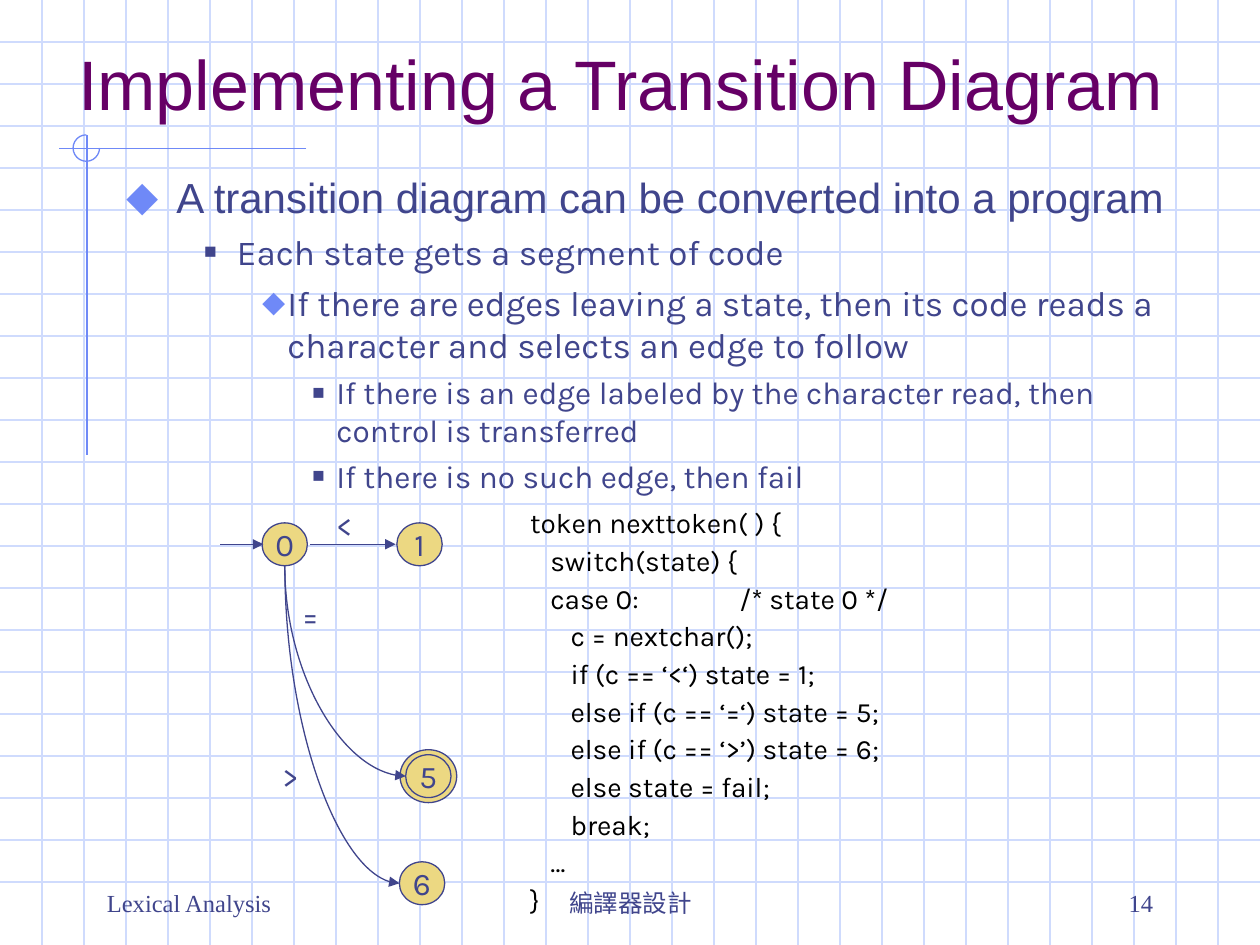
from dataclasses import dataclass

from lxml import etree
from pptx import Presentation
from pptx import util as u
from pptx.dml.color import RGBColor
from pptx.enum import shapes, text
from pptx.oxml import ns


@dataclass(frozen=True)
class Theme:
    title: str = "660066"
    ink: str = "40458C"
    accent: str = "6F89F7"
    grid: str = "CFDBFD"
    state: str = "ECD882"
    code: str = "000000"
    heading_font: str = "Arial"
    body_font: str = "Karla"
    footer_font: str = "Times New Roman"
    title_size: int = 40
    label_size: int = 18
    code_size: int = 16
    footer_size: int = 14
    rule: float = 0.75


THEME = Theme()
# Per level: text size, font, text indent, hanging, space before, bullet, its colour and size
OUTLINE_LEVELS = [
    (24, THEME.heading_font, 0.4, 0.4, 6, "⬥", THEME.accent, 110),
    (20, THEME.body_font, 0.88, 0.26, 5, "■", THEME.ink, 60),
    (20, THEME.body_font, 1.28, 0.2, 5, "⬥", THEME.accent, 95),
    (18, THEME.body_font, 1.67, 0.19, 4.5, "■", THEME.ink, 65),
]
OUTLINE = [
    (0, "A transition diagram can be converted into a program"),
    (1, "Each state gets a segment of code"),
    (2, "If there are edges leaving a state, then its code reads a character "
        "and selects an edge to follow"),
    (3, "If there is an edge labeled by the character read, then control is transferred"),
    (3, "If there is no such edge, then fail"),
]
CODE = [
    (0, "token nexttoken( ) {"),
    (1, "switch(state) {"),
    (1, "case 0:\t\t/* state 0 */"),
    (2, "c = nextchar();"),
    (2, "if (c == ‘<‘) state = 1;"),
    (2, "else if (c == ‘=‘) state = 5;"),
    (2, "else if (c == ‘>’) state = 6;"),
    (2, "else state = fail;"),
    (2, "break;"),
    (1, "…"),
    (0, "}"),
]


def rgb(color):
    return RGBColor.from_string(color)


def add_run(paragraph, words, size, font, color):
    run = paragraph.add_run()
    run.text = words
    run.font.size, run.font.name = u.Pt(size), font
    run.font.color.rgb = rgb(color)


def set_indent(paragraph, left, hanging=0):
    props = paragraph._p.get_or_add_pPr()
    props.set("marL", str(u.Inches(left)))
    props.set("indent", str(-u.Inches(hanging)))
    return props


def place(shape, box):
    shape.left, shape.top, shape.width, shape.height = map(u.Inches, box)


def add_text(parent, box, words, size, font, color, align=text.PP_ALIGN.LEFT,
             anchor=text.MSO_ANCHOR.MIDDLE, wrap=True):
    frame = parent.add_textbox(*map(u.Inches, box)).text_frame
    frame.word_wrap, frame.vertical_anchor = wrap, anchor
    frame.paragraphs[0].alignment = align
    add_run(frame.paragraphs[0], words, size, font, color)
    return frame


def add_line(parent, start, end, color, arrow=False, kind=shapes.MSO_CONNECTOR.STRAIGHT):
    line = parent.add_connector(kind, *map(u.Inches, (*start, *end)))
    line.line.color.rgb, line.line.width = rgb(color), u.Pt(THEME.rule)
    if arrow:
        etree.SubElement(line.line._get_or_add_ln(), ns.qn("a:tailEnd"), type="triangle")
    etree.SubElement(line._element.spPr, ns.qn("a:effectLst"))
    return line


def add_curve(parent, start, end):
    """Quarter curve that leaves downwards and arrives from the left."""
    (x1, y1), (x2, y2) = start, end
    across, down = x2 - x1, y2 - y1
    curve = add_line(parent, start, end, THEME.ink, True, shapes.MSO_CONNECTOR.CURVE)
    # The preset leaves sideways, so it is laid flat, mirrored and turned
    place(curve, ((x1 + x2 - down) / 2, (y1 + y2 - across) / 2, down, across))
    curve._element.spPr.find(ns.qn("a:prstGeom")).set("prst", "curvedConnector2")
    frame = curve._element.spPr.find(ns.qn("a:xfrm"))
    frame.set("rot", str(270 * 60000))
    frame.set("flipH", "1")


def add_state(parent, center, name="", width=0.36, height=0.34):
    x, y = center
    box = (x - width / 2, y - height / 2, width, height)
    state = parent.add_shape(shapes.MSO_SHAPE.OVAL, *map(u.Inches, box))
    state.shadow.inherit = False
    state.fill.solid()
    state.fill.fore_color.rgb = rgb(THEME.state)
    state.line.color.rgb, state.line.width = rgb(THEME.ink), u.Pt(THEME.rule)
    if name:
        frame = state.text_frame
        frame.word_wrap, frame.vertical_anchor = False, text.MSO_ANCHOR.MIDDLE
        frame.paragraphs[0].alignment = text.PP_ALIGN.CENTER
        add_run(frame.paragraphs[0], name, THEME.label_size, THEME.body_font, THEME.ink)


def draw_background(slide, box):
    left, top, width, height = box
    right, bottom, step = left + width, top + height, 1 / 3
    add_line(slide.shapes, (9.67, top), (9.67, 2.58), THEME.accent)
    # Graph paper
    grid = slide.shapes.add_group_shape().shapes
    for row in range(1, round(height / step)):
        add_line(grid, (left, top + row * step), (right, top + row * step), THEME.grid)
    for column in range(1, round(width / step)):
        add_line(grid, (left + column * step, top), (left + column * step, bottom), THEME.grid)
    # Corner rules with a three-quarter circle
    corner = slide.shapes.add_group_shape().shapes
    add_line(corner, (2.43, 1.18), (0.47, 1.18), THEME.accent)
    add_line(corner, (0.69, 1.07), (0.69, 3.61), THEME.accent)
    arc = corner.add_shape(shapes.MSO_SHAPE.ARC, *map(u.Inches, (0.58, 1.07, 0.21, 0.21)))
    arc.adjustments[0], arc.adjustments[1] = 0, 162  # 0 to 270 degrees
    arc.shadow.inherit = False
    arc.fill.background()
    arc.line.color.rgb, arc.line.width = rgb(THEME.accent), u.Pt(THEME.rule)


def fill_title(slide, box):
    title = slide.shapes.title
    place(title, box)
    slide.shapes._spTree.append(title._element)  # above the grid
    frame = title.text_frame
    frame.auto_size, frame.vertical_anchor = text.MSO_AUTO_SIZE.NONE, text.MSO_ANCHOR.BOTTOM
    frame.paragraphs[0].alignment = text.PP_ALIGN.LEFT
    add_run(frame.paragraphs[0], "Implementing a Transition Diagram",
            THEME.title_size, THEME.heading_font, THEME.title)


def fill_outline(slide, box):
    body = slide.placeholders[1]
    place(body, box)
    slide.shapes._spTree.append(body._element)  # above the grid
    frame = body.text_frame
    frame.auto_size = text.MSO_AUTO_SIZE.NONE
    for number, (level, words) in enumerate(OUTLINE):
        item = frame.add_paragraph() if number else frame.paragraphs[0]
        size, font, left, hanging, before, bullet, color, scale = OUTLINE_LEVELS[level]
        item.level, item.space_before = level, u.Pt(before)
        props = set_indent(item, left, hanging)
        bullet_color = etree.SubElement(props, ns.qn("a:buClr"))
        etree.SubElement(bullet_color, ns.qn("a:srgbClr"), val=color)
        etree.SubElement(props, ns.qn("a:buSzPct"), val=str(scale * 1000))
        etree.SubElement(props, ns.qn("a:buChar"), char=bullet)
        add_run(item, words, size, font, THEME.ink)


def draw_code(slide, box):
    frame = slide.shapes.add_textbox(*map(u.Inches, box)).text_frame
    frame.word_wrap = True
    for number, (depth, words) in enumerate(CODE):
        line = frame.add_paragraph() if number else frame.paragraphs[0]
        line.line_spacing, line.space_before = 0.6, u.Pt(10)
        set_indent(line, depth * 0.16)
        add_run(line, words, THEME.code_size, THEME.body_font, THEME.code)


def draw_diagram(slide, origin):
    x, y = origin  # centre of state 0
    diagram = slide.shapes.add_group_shape().shapes
    bottom = (x, y + 0.17)
    add_state(diagram, origin, "0")
    add_line(diagram, (x - 0.51, y), (x - 0.17, y), THEME.ink, arrow=True)
    add_line(diagram, (x + 0.2, y), (x + 0.88, y), THEME.ink, arrow=True)
    add_state(diagram, (x + 1.07, y), "1")
    # The accepting state has a double ring
    add_state(diagram, (x + 1.14, y + 1.84), width=0.45, height=0.42)
    add_state(diagram, (x + 1.14, y + 1.84), "5")
    add_curve(diagram, bottom, (x + 0.96, y + 1.84))
    add_state(diagram, (x + 1.09, y + 2.69), "6")
    add_curve(diagram, bottom, (x + 0.91, y + 2.69))
    for edge, dx, dy in (("<", 0.31, -0.35), ("=", 0.04, 0.36), (">", -0.12, 1.64)):
        label = add_text(diagram, (x + dx, y + dy, 0.27, 0.4), edge, THEME.label_size,
                         THEME.body_font, THEME.ink, wrap=False)
        label.paragraphs[0].space_before = u.Pt(11.2)


def draw_footer(slide, box):
    left, top, width, height = box
    align = text.PP_ALIGN
    for words, x, part, side in (("編譯器設計", left + 2.67, 3.17, align.CENTER),
                                 ("14", left + width - 2.08, 2.08, align.RIGHT),
                                 ("Lexical Analysis", left, 2.08, align.LEFT)):
        add_text(slide.shapes, (x, top, part, height), words, THEME.footer_size,
                 THEME.footer_font, THEME.ink, side, text.MSO_ANCHOR.BOTTOM)


def main():
    deck = Presentation()
    deck.slide_width, deck.slide_height = u.Inches(10), u.Inches(7.5)
    slide = deck.slides.add_slide(deck.slide_layouts[1])
    draw_background(slide, (0, 0, 10, 7.5))
    fill_title(slide, (0.52, 0.33, 9.04, 0.71))
    fill_outline(slide, (0.9, 1.31, 8.5, 5.5))
    draw_code(slide, (4.11, 4.06, 3.73, 3.25))
    draw_diagram(slide, (2.26, 4.32))
    draw_footer(slide, (0.75, 6.83, 8.5, 0.5))
    deck.save("out.pptx")


if __name__ == "__main__":
    main()
